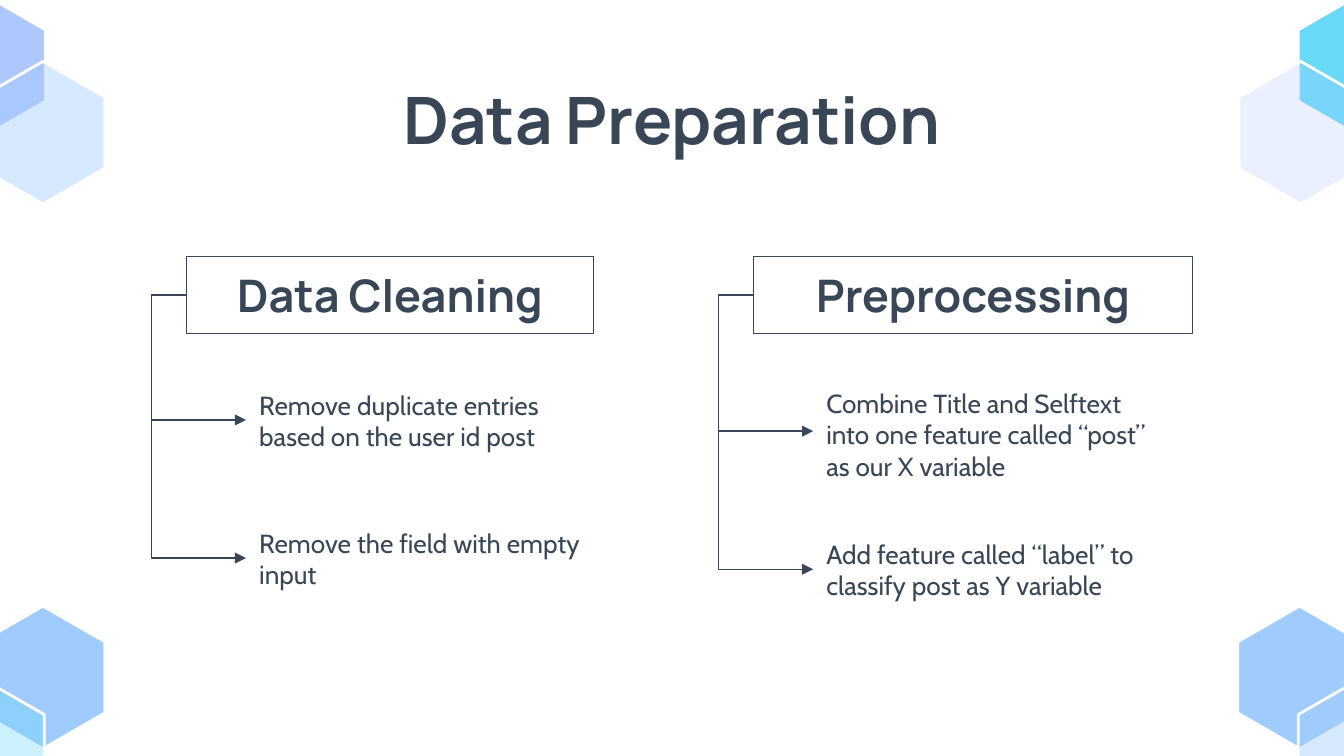
import pptx
import pptx.util
import pptx.dml.color
import pptx.enum.shapes
import pptx.enum.text
import pptx.oxml.ns
import lxml.etree

Pt = pptx.util.Pt
RGBColor = pptx.dml.color.RGBColor
ALIGN = pptx.enum.text.PP_ALIGN
ANCHOR = pptx.enum.text.MSO_ANCHOR
qn = pptx.oxml.ns.qn

INK = RGBColor(0x38, 0x46, 0x55)
WHITE = RGBColor(0xFF, 0xFF, 0xFF)
BLUE = RGBColor(0x9F, 0xCB, 0xFD)
CYAN = RGBColor(0x68, 0xDA, 0xF8)
LILAC = RGBColor(0xAF, 0xC7, 0xFF)

deck = pptx.Presentation()
deck.slide_width, deck.slide_height = Pt(720), Pt(405)
slide = deck.slides.add_slide(deck.slide_layouts[6])
shapes = slide.shapes


def write(shape, text, size, font, bold, align, anchor):
    frame = shape.text_frame
    frame.word_wrap = True
    frame.vertical_anchor = anchor
    frame.margin_left = frame.margin_right = Pt(7.2)
    frame.margin_top = frame.margin_bottom = Pt(7.2)
    frame.text = text
    para = frame.paragraphs[0]
    para.alignment = align
    face = para.runs[0].font
    face.size, face.name, face.bold = Pt(size), font, bold
    face.color.rgb = INK


# Corner hexagons: left, top, colour, opacity in percent
HEX_W, HEX_H = 66.2, 76.4
HEXES = [
    (-10.1, 324.7, BLUE, 100), (-42.5, 363.7, CYAN, 34),
    (695.5, -3.1, CYAN, 100), (663.8, 32.9, LILAC, 25),
    (663.1, 324.7, BLUE, 100), (695.5, 363.7, BLUE, 41),
    (-41.8, -3.1, LILAC, 100), (-10.1, 32.9, BLUE, 41),
]
CORNERS = [(0.5, 0), (0, 0.25), (0, 0.75), (0.5, 1), (1, 0.75), (1, 0.25)]
for left, top, color, alpha in HEXES:
    points = [(Pt(left + x * HEX_W), Pt(top + y * HEX_H)) for x, y in CORNERS]
    path = shapes.build_freeform(*points[0])
    path.add_line_segments(points[1:], close=True)
    hexa = path.convert_to_shape()
    hexa.shadow.inherit = False
    hexa.fill.solid()
    hexa.fill.fore_color.rgb = color
    hexa.line.color.rgb = WHITE
    hexa.line.width = Pt(1.5)
    if alpha < 100:
        tint = hexa._element.spPr.find(qn("a:solidFill"))[0]
        lxml.etree.SubElement(tint, qn("a:alpha")).set("val", str(alpha * 1000))

title = shapes.add_textbox(Pt(56.7), Pt(35.2), Pt(606.7), Pt(45.1))
write(title, "Data Preparation", 35, "Manrope", True, ALIGN.CENTER, ANCHOR.TOP)

# Trees: left, head width, head, steps (top, width, anchor, arrow height, text)
HEAD_TOP, HEAD_H, STEP_H = 137.4, 41.2, 62
INDENT = 31.9
TREES = [
    (99.9, 218, "Data Cleaning", [
        (194.2, 186, ANCHOR.MIDDLE, 225,
         "Remove duplicate entries based on the user id post"),
        (268.1, 186, ANCHOR.MIDDLE, 299,
         "Remove the field with empty input"),
    ]),
    (403.7, 235.2, "Preprocessing", [
        (200.2, 186, ANCHOR.TOP, 231,
         "Combine Title and Selftext into one feature called “post” as our X variable"),
        (274.2, 206.6, ANCHOR.MIDDLE, 305,
         "Add feature called “label” to classify post as Y variable"),
    ]),
]
for left, width, name, steps in TREES:
    head = shapes.add_shape(pptx.enum.shapes.MSO_SHAPE.RECTANGLE,
                            Pt(left), Pt(HEAD_TOP), Pt(width), Pt(HEAD_H))
    head.shadow.inherit = False
    head.fill.background()
    head.line.color.rgb = INK
    head.line.width = Pt(0.75)
    write(head, name, 24, "Manrope", True, ALIGN.CENTER, ANCHOR.MIDDLE)

    for top, span, anchor, level, text in steps:
        step = shapes.add_textbox(Pt(left + INDENT), Pt(top), Pt(span), Pt(STEP_H))
        write(step, text, 14, "Cabin", False, ALIGN.LEFT, anchor)

        arrow = shapes.add_connector(
            pptx.enum.shapes.MSO_CONNECTOR.ELBOW,
            Pt(left), Pt(HEAD_TOP + HEAD_H / 2), Pt(left + INDENT), Pt(level))
        arrow.line.color.rgb = INK
        arrow.line.width = Pt(0.75)
        props = arrow._element.spPr
        bend = lxml.etree.SubElement(props.find(".//" + qn("a:avLst")), qn("a:gd"))
        bend.set("name", "adj1")
        bend.set("fmla", "val -58500")
        tip = lxml.etree.SubElement(props.find(qn("a:ln")), qn("a:tailEnd"))
        tip.set("type", "triangle")
        lxml.etree.SubElement(props, qn("a:effectLst"))

deck.save("out.pptx")
